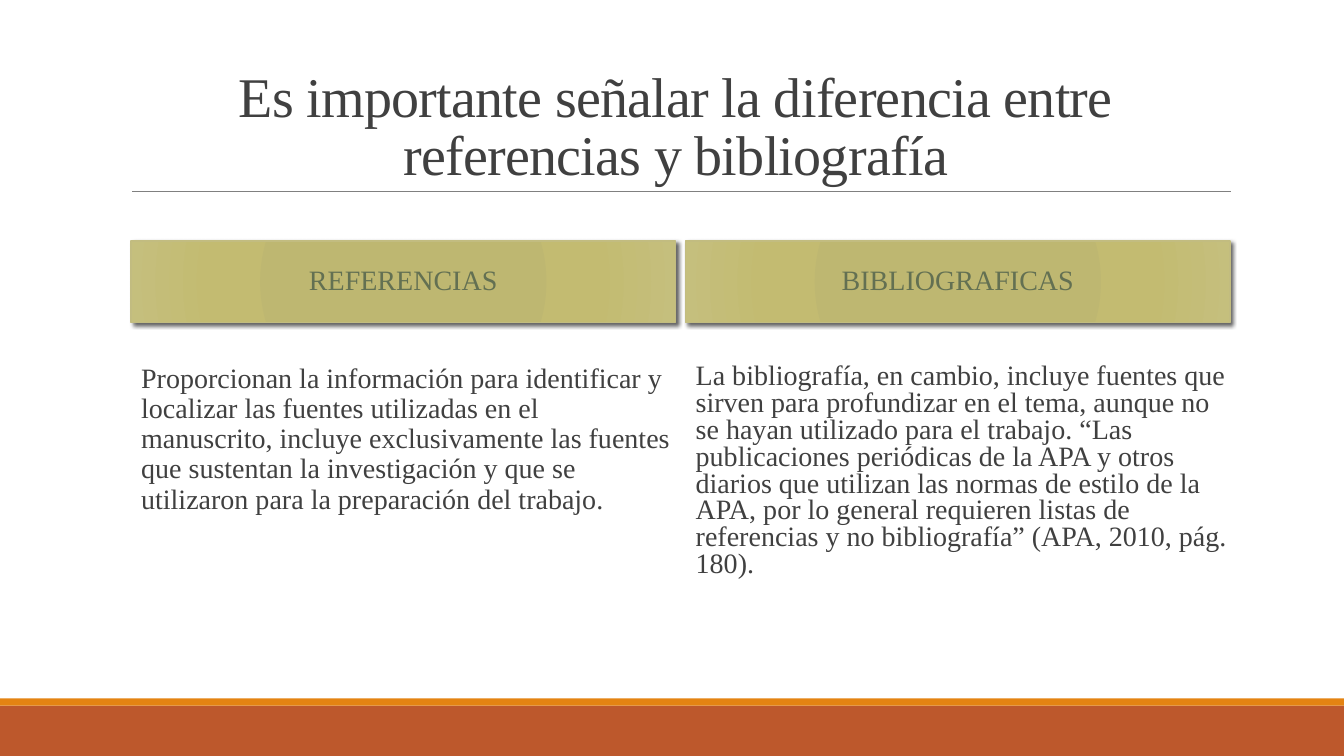
"""Builds a slide that compares references with bibliography."""
from dataclasses import dataclass
from typing import Any

from lxml.etree import SubElement
from pptx import Presentation
from pptx.dml.color import RGBColor
from pptx.enum.shapes import MSO_CONNECTOR, MSO_SHAPE
from pptx.enum.text import MSO_ANCHOR, MSO_AUTO_SIZE, PP_ALIGN
from pptx.oxml.ns import qn
from pptx.util import Inches, Pt


@dataclass(frozen=True)
class Theme:
    font: str = "Times New Roman"
    title_size: int = 40
    text_size: int = 20
    ink: str = "404040"
    heading_ink: str = "637052"
    heading_line: str = "C2BC80"
    gradient: tuple = ((0, "BEB76E"), (34, "BEB771"), (70, "C3BB71"), (100, "C5BF7D"))
    shadow: str = "000000"
    rule: str = "808080"
    bar: str = "BD582C"
    accent: str = "E48312"


@dataclass(frozen=True)
class Column:
    left: float
    heading: str
    text: str
    height: float
    line_spacing: float
    heading_index: int
    text_index: int


@dataclass(frozen=True)
class Band:
    top: float
    height: float
    color: str


THEME = Theme()
SLIDE_WIDTH, SLIDE_HEIGHT = 13.33, 7.5
COLUMN_WIDTH = 5.4
COLUMNS = (
    Column(1.3, "REFERENCIAS",
           "Proporcionan la información para identificar y localizar las fuentes utilizadas "
           "en el manuscrito, incluye exclusivamente las fuentes que sustentan la "
           "investigación y que se utilizaron para la preparación del trabajo.",
           2.11, 0.9, 1, 2),
    Column(6.8, "BIBLIOGRAFICAS",
           "La bibliografía, en cambio, incluye fuentes que sirven para profundizar en el "
           "tema, aunque no se hayan utilizado para el trabajo. “Las publicaciones "
           "periódicas de la APA y otros diarios que utilizan las normas de estilo de la "
           "APA, por lo general requieren listas de referencias y no bibliografía” "
           "(APA, 2010, pág. 180).",
           2.48, 0.8, 3, 4),
)
BANDS = (Band(7, 0.5, THEME.bar), Band(6.93, 0.07, THEME.accent))
SPACING = {"space_before": Pt(12), "space_after": Pt(2)}


def apply(target: Any, values: dict) -> None:
    """Set each named attribute on the target."""
    for name, value in values.items():
        setattr(target, name, value)


def add_node(parent: Any, tag: str, **attributes: Any) -> Any:
    """Append a drawing element with its attributes."""
    return SubElement(parent, qn(f"a:{tag}"), {key: str(value) for key, value in attributes.items()})


def fill_placeholder(box: Any, place: tuple, text: str, size: int, color: str,
                     frame_format: dict, para_format: dict) -> Any:
    """Move a placeholder, write its text and return the paragraph."""
    apply(box, dict(zip(("left", "top", "width", "height"), map(Inches, place))))
    frame = box.text_frame
    apply(frame, {"word_wrap": True, "auto_size": MSO_AUTO_SIZE.NONE, **frame_format})
    para = frame.paragraphs[0]
    apply(para, para_format)
    span = para.add_run()
    span.text = text
    apply(span.font, {"name": THEME.font, "size": Pt(size), "bold": False})
    span.font.color.rgb = RGBColor.from_string(color)
    return para


def style_heading(box: Any) -> None:
    """Give a heading its radial gradient, outline and shadow."""
    properties = box.element.spPr
    gradient = add_node(properties, "gradFill", rotWithShape=1)
    stops = add_node(gradient, "gsLst")
    for percent, color in THEME.gradient:
        add_node(add_node(stops, "gs", pos=percent * 1000), "srgbClr", val=color)
    center = add_node(gradient, "path", path="circle")
    add_node(center, "fillToRect", **dict.fromkeys("ltrb", 100000))
    box.line.width = Pt(1)
    box.line.color.rgb = RGBColor.from_string(THEME.heading_line)
    shadow = add_node(add_node(properties, "effectLst"), "outerShdw", blurRad=Pt(3),
                      dist=Pt(2), dir=45 * 60000, algn="tl", rotWithShape=0)
    add_node(add_node(shadow, "srgbClr", val=THEME.shadow), "alpha", val=60000)


def add_column(page: Any, column: Column) -> None:
    """Fill one heading and the text under it."""
    holders = {holder.placeholder_format.idx: holder for holder in page.placeholders}
    heading = holders[column.heading_index]
    fill_placeholder(heading, (column.left, 2.39, COLUMN_WIDTH, 0.81), column.heading,
                     THEME.text_size, THEME.heading_ink,
                     {"vertical_anchor": MSO_ANCHOR.MIDDLE},
                     {"alignment": PP_ALIGN.CENTER, "line_spacing": 0.9, **SPACING})
    style_heading(heading)
    para = fill_placeholder(holders[column.text_index],
                            (column.left, 3.56, COLUMN_WIDTH, column.height), column.text,
                            THEME.text_size, THEME.ink,
                            {"margin_left": 0, "margin_right": 0,
                             "vertical_anchor": MSO_ANCHOR.TOP},
                            {"alignment": PP_ALIGN.LEFT,
                             "line_spacing": column.line_spacing, **SPACING})
    properties = para._p.get_or_add_pPr()
    properties.set("marL", str(Inches(0.1)))
    properties.set("indent", str(Inches(-0.1)))
    add_node(add_node(properties, "buClr"), "srgbClr", val=THEME.accent)
    add_node(properties, "buChar", char=" ")


def add_band(page: Any, band: Band) -> None:
    """Draw a full-width band at the foot of the page."""
    shape = page.shapes.add_shape(MSO_SHAPE.RECTANGLE, 0, Inches(band.top),
                                  Inches(SLIDE_WIDTH), Inches(band.height))
    shape.shadow.inherit = False
    shape.fill.solid()
    shape.fill.fore_color.rgb = RGBColor.from_string(band.color)
    shape.line.fill.background()


def add_rule(page: Any) -> None:
    """Draw the thin line under the title."""
    rule = page.shapes.add_connector(MSO_CONNECTOR.STRAIGHT, Inches(1.31), Inches(1.9),
                                     Inches(12.21), Inches(1.9))
    rule.line.width = Pt(0.5)
    rule.line.color.rgb = RGBColor.from_string(THEME.rule)
    add_node(rule.element.spPr, "effectLst")


def main() -> None:
    """Build and save the deck."""
    deck = Presentation()
    apply(deck, {"slide_width": Inches(SLIDE_WIDTH), "slide_height": Inches(SLIDE_HEIGHT)})
    page = deck.slides.add_slide(deck.slide_layouts.get_by_name("Comparison"))
    for band in BANDS:
        add_band(page, band)
    add_rule(page)
    title = fill_placeholder(page.shapes.title, (1.2, 0.31, 11, 1.59),
                             "Es importante señalar la diferencia entre referencias y bibliografía",
                             THEME.title_size, THEME.ink,
                             {"vertical_anchor": MSO_ANCHOR.BOTTOM},
                             {"alignment": PP_ALIGN.CENTER, "line_spacing": 0.85})
    title.runs[0].font._element.set("spc", "-50")
    for column in COLUMNS:
        add_column(page, column)
    deck.save("out.pptx")


if __name__ == "__main__":
    main()
